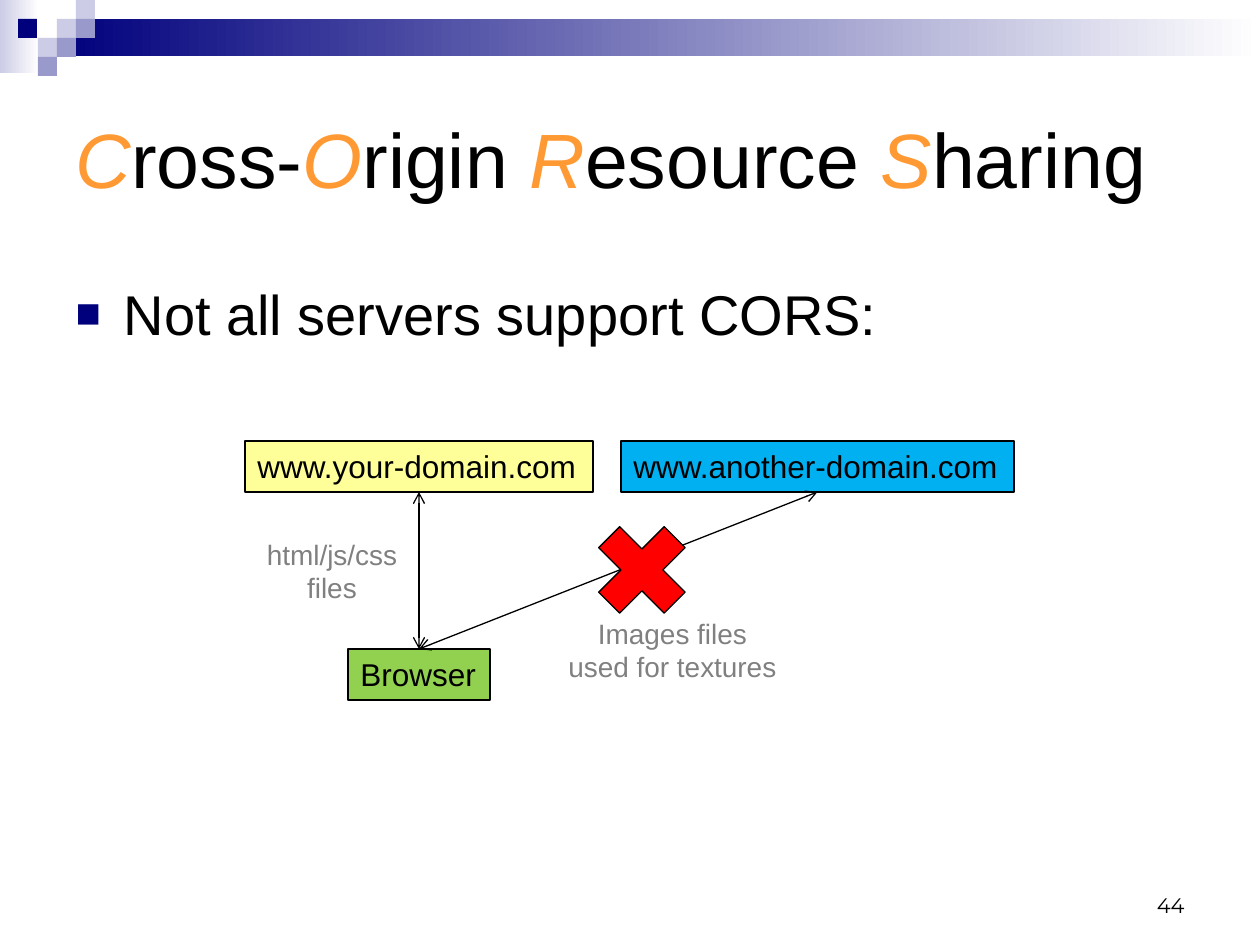
from lxml.etree import SubElement
from pptx import Presentation
from pptx.dml.color import RGBColor
from pptx.enum.shapes import MSO_CONNECTOR, MSO_SHAPE
from pptx.enum.text import MSO_ANCHOR as ANCHOR, MSO_AUTO_SIZE as AUTO, PP_ALIGN as ALIGN
from pptx.oxml.ns import qn
from pptx.util import Pt

COLORS = {
    "black": "000000", "white": "FFFFFF", "gray": "808080", "orange": "FF9933",
    "navy": "00007D", "lilac": "CCCCE6", "violet": "9999CC", "green": "92D050",
    "yellow": "FFFF99", "blue": "00B0F0", "red": "FF0000",
}
TITLE_WORDS = ["Cross-", "Origin ", "Resource ", "Sharing"]
BULLET = "Not all servers support CORS:"
BANDS = [((0, 0, 39, 73), "lilac"), ((57, 19, 1203, 37), "navy")]
SQUARES = [
    (57, 19, "lilac"), (76, 0, "lilac"), (76, 19, "violet"), (38, 38, "lilac"),
    (18, 19, "navy"), (57, 38, "violet"), (38, 57, "violet"),
]
SQUARE = 19
NODES = {
    "Browser": ((348, 649, 142, 51), "green"),
    "www.your-domain.com": ((245, 441, 348, 51), "yellow"),
    "www.another-domain.com": ((621, 441, 393, 51), "blue"),
}
LINKS = [("Browser", "www.your-domain.com"), ("Browser", "www.another-domain.com")]
LABELS = [
    ((253, 531, 158, 80), ["html/js/css", "files"]),
    ((554, 610, 237, 80), ["Images files", "used for textures"]),
]
CROSS = (579, 507, 126, 126)
NUMBER = (903, 861, 294, 63)
EMU_PER_PX = 914400 / 126


def px(*values):
    return [round(v * EMU_PER_PX) for v in values]


def rgb(name):
    return RGBColor.from_string(COLORS[name])


def style(p, size, color="black", font="Arial", align=ALIGN.LEFT):
    p.alignment = align
    for r in p.runs:
        r.font.size, r.font.name = Pt(size), font
        r.font.color.rgb = rgb(color)


def place(sp, box):
    sp.left, sp.top, sp.width, sp.height = px(*box)


def add_shape(box, color, kind=MSO_SHAPE.RECTANGLE, outlined=False):
    sp = slide.shapes.add_shape(kind, *px(*box))
    sp.shadow.inherit = False
    sp.fill.solid()
    sp.fill.fore_color.rgb = rgb(color)
    if outlined:
        sp.line.color.rgb = rgb("black")
        sp.line.width = Pt(0.75)
    else:
        sp.line.fill.background()
    return sp


def fit(tf):
    tf.word_wrap = False
    tf.auto_size = AUTO.SHAPE_TO_FIT_TEXT
    tf.vertical_anchor = ANCHOR.TOP


prs = Presentation()
prs.slide_width, prs.slide_height = px(1260, 945)
slide = prs.slides.add_slide(prs.slide_layouts[1])

for box, color in BANDS:
    fill = add_shape(box, color).fill
    fill.gradient()
    fill.gradient_angle = 0
    for stop, name, position in zip(fill.gradient_stops, (color, "white"), (0, 1)):
        stop.color.rgb = rgb(name)
        stop.position = position
for x, y, color in SQUARES:
    add_shape((x, y, SQUARE, SQUARE), color)

title = slide.shapes.title
place(title, (63, 63, 1134, 189))
tf = title.text_frame
tf.vertical_anchor = ANCHOR.MIDDLE
p = tf.paragraphs[0]
for word in TITLE_WORDS:
    for part in (word[0], word[1:]):
        p.add_run().text = part
style(p, 44)
for r in p.runs[::2]:
    r.font.italic = True
    r.font.color.rgb = rgb("orange")

body = slide.placeholders[1]
place(body, (63, 273, 1229, 95))
body.text_frame.text = BULLET
p = body.text_frame.paragraphs[0]
style(p, 32)
pPr = p._p.get_or_add_pPr()
indent = px(48)[0]
pPr.set("marL", str(indent))
pPr.set("indent", str(-indent))
SubElement(SubElement(pPr, qn("a:buClr")), qn("a:srgbClr"), val=COLORS["navy"])
SubElement(pPr, qn("a:buSzPct"), val="75000")
SubElement(pPr, qn("a:buFont"), typeface="Arial")
SubElement(pPr, qn("a:buChar"), char="■")

nodes = {}
for name, (box, color) in NODES.items():
    sp = nodes[name] = add_shape(box, color, outlined=True)
    sp.text_frame.text = name
    fit(sp.text_frame)
    style(sp.text_frame.paragraphs[0], 18)

for start, end in LINKS:
    line = slide.shapes.add_connector(MSO_CONNECTOR.STRAIGHT, 0, 0, 0, 0)
    line.begin_connect(nodes[start], 0)
    line.end_connect(nodes[end], 2)
    line.line.color.rgb = rgb("black")
    line.line.width = Pt(0.75)
    ln = line.line._get_or_add_ln()
    for tip in ("a:headEnd", "a:tailEnd"):
        SubElement(ln, qn(tip), type="arrow")
    SubElement(line._element.spPr, qn("a:effectLst"))

for box, lines in LABELS:
    tf = slide.shapes.add_textbox(*px(*box)).text_frame
    tf.text = "\n".join(lines)
    fit(tf)
    for p in tf.paragraphs:
        style(p, 16, "gray", align=ALIGN.CENTER)

add_shape(CROSS, "red", MSO_SHAPE.MATH_MULTIPLY, outlined=True)

tf = slide.shapes.add_textbox(*px(*NUMBER)).text_frame
tf.text = "44"
tf.word_wrap = True
tf.vertical_anchor = ANCHOR.BOTTOM
style(tf.paragraphs[0], 12, font="Montserrat", align=ALIGN.RIGHT)

prs.save("out.pptx")
